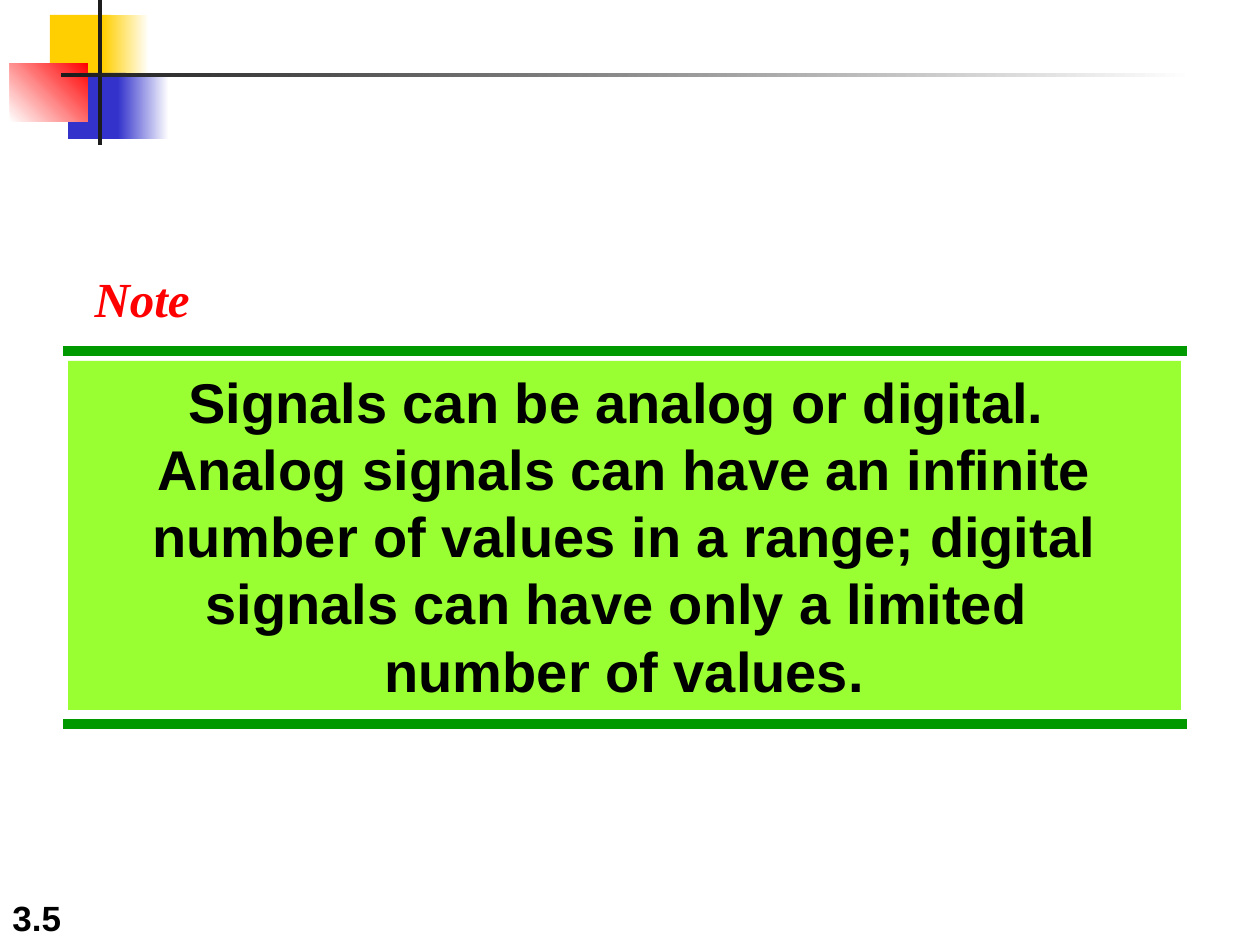
import pptx
import pptx.util
import pptx.dml.color
import pptx.enum.shapes
import pptx.enum.text
import pptx.oxml.ns
import lxml.etree

THEME = {
    "yellow": "FFCF01", "blue": "3333CC", "red": "FF0000", "white": "FFFFFF",
    "ink": "1C1C1C", "rule": "009900", "panel": "99FF33", "text": "000000",
    "sans": "Arial", "serif": "Times New Roman",
    "note_size": 28, "message_size": 32, "message_leading": 38.4,
    "number_size": 20, "rule_width": 6,
}
SCALE = 914400 / 126


def box(*lengths):
    return [pptx.util.Emu(round(length * SCALE)) for length in lengths]


def write(frame, text, font, size, color, italic=None):
    frame.text = text
    for run in frame.paragraphs[0].runs:
        run.font.name = font
        run.font.size = pptx.util.Pt(size)
        run.font.bold = True
        run.font.italic = italic
        run.font.color.rgb = pptx.dml.color.RGBColor.from_string(THEME[color])


deck = pptx.Presentation()
deck.slide_width, deck.slide_height = box(1260, 945)
slide = deck.slides.add_slide(deck.slide_layouts[5])
shapes = slide.shapes

blocks = [
    ((50, 15, 61, 66), ["yellow"], 0),
    ((103, 15, 46, 66), ["yellow", "white"], 0),
    ((68, 73, 58, 66), ["blue"], 0),
    ((118, 73, 51, 66), ["blue", "white"], 0),
    ((10, 63, 78, 59), ["white", "red"], 45),
    ((98, 0, 4, 145), ["ink"], 0),
    ((61, 73, 1134, 4), ["ink", "white"], 0),
    ((68, 361, 1113, 349), ["panel"], 0),
]
for place, colors, angle in blocks:
    block = shapes.add_shape(pptx.enum.shapes.MSO_SHAPE.RECTANGLE, *box(*place))
    block.shadow.inherit = False
    block.line.fill.background()
    if len(colors) == 1:
        block.fill.solid()
        block.fill.fore_color.rgb = pptx.dml.color.RGBColor.from_string(THEME[colors[0]])
    else:
        block.fill.gradient()
        block.fill.gradient_angle = angle
        for stop, color, position in zip(block.fill.gradient_stops, colors, (0, 1)):
            stop.color.rgb = pptx.dml.color.RGBColor.from_string(THEME[color])
            stop.position = position

message = block.text_frame
message.word_wrap = True
message.vertical_anchor = pptx.enum.text.MSO_ANCHOR.TOP
write(message,
      "Signals can be analog or digital. \vAnalog signals can have an infinite "
      "number of values in a range; digital signals can have only a limited \v"
      "number of values.",
      THEME["sans"], THEME["message_size"], "text")
message.paragraphs[0].alignment = pptx.enum.text.PP_ALIGN.CENTER
message.paragraphs[0].line_spacing = pptx.util.Pt(THEME["message_leading"])

for y in (351, 724):
    rule = shapes.add_connector(
        pptx.enum.shapes.MSO_CONNECTOR.STRAIGHT, *box(63, y, 1187, y))
    rule.line.color.rgb = pptx.dml.color.RGBColor.from_string(THEME["rule"])
    rule.line.width = pptx.util.Pt(THEME["rule_width"])
    lxml.etree.SubElement(rule._element.spPr, pptx.oxml.ns.qn("a:effectLst"))

note = shapes.title
note.left, note.top, note.width, note.height = box(82, 262, 121, 72)
note.text_frame.word_wrap = False
note.text_frame.auto_size = pptx.enum.text.MSO_AUTO_SIZE.NONE
note.text_frame.vertical_anchor = pptx.enum.text.MSO_ANCHOR.TOP
write(note.text_frame, "Note", THEME["serif"], THEME["note_size"], "red", True)
note.text_frame.paragraphs[0].alignment = pptx.enum.text.PP_ALIGN.LEFT

number = shapes.add_textbox(*box(0, 882, 262, 63)).text_frame
number.word_wrap = True
number.vertical_anchor = pptx.enum.text.MSO_ANCHOR.BOTTOM
write(number, "3.5", THEME["sans"], THEME["number_size"], "text")

deck.save("out.pptx")
